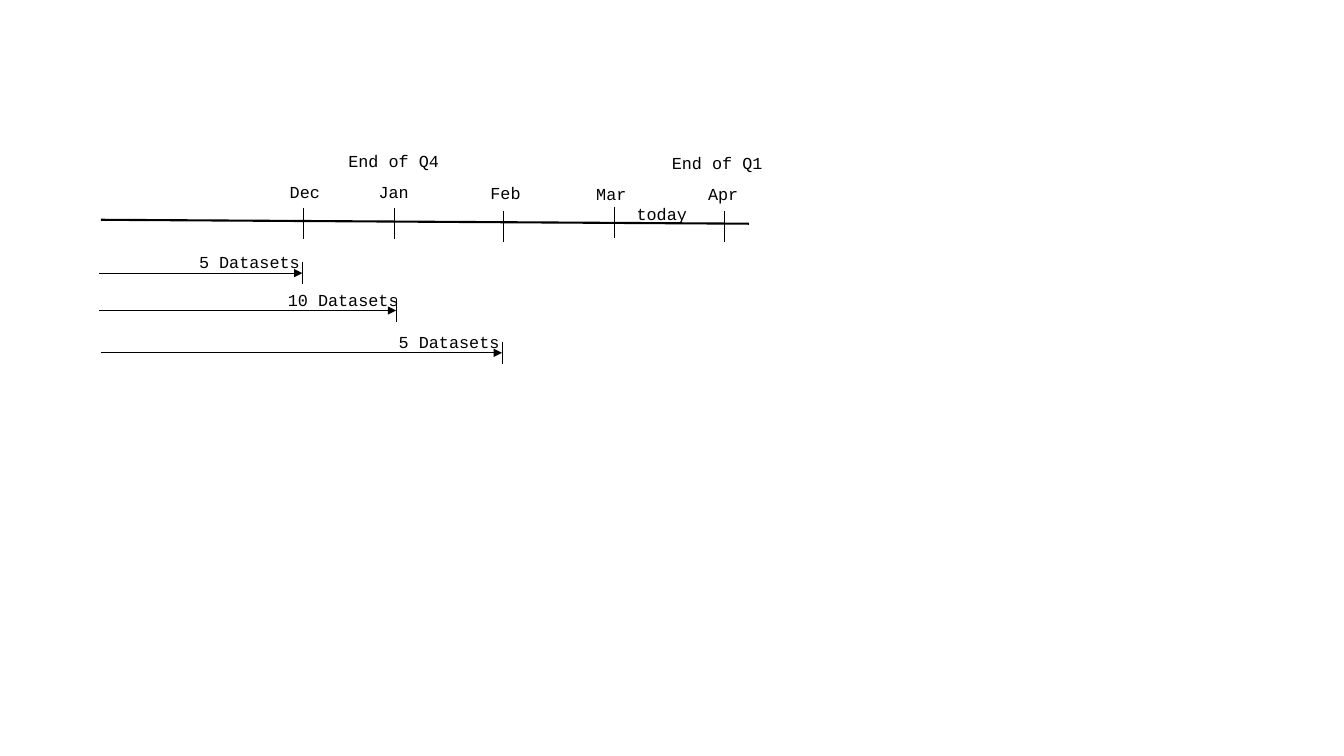
import dataclasses
import pptx
import pptx.dml.color
import pptx.enum.shapes
import pptx.enum.text
import pptx.oxml
import pptx.oxml.ns
import pptx.util
from pptx.util import Pt


@dataclasses.dataclass(frozen=True)
class Theme:
    ink: str = "000000"
    paper: str = "FFFFFF"
    font: str = "Courier New"
    text_size: float = 12
    axis_width: float = 1.5
    thin_width: float = 0.5
    label_width: float = 116
    label_height: float = 21.8


class TimelinePage:
    def __init__(self, page, theme):
        self.page = page
        self.theme = theme
        fill = page.background.fill
        fill.solid()
        fill.fore_color.rgb = self.color(theme.paper)

    def color(self, value):
        return pptx.dml.color.RGBColor.from_string(value)

    def label(self, text, center, top):
        theme = self.theme
        box = self.page.shapes.add_textbox(
            Pt(center - theme.label_width / 2), Pt(top),
            Pt(theme.label_width), Pt(theme.label_height))
        frame = box.text_frame
        frame.word_wrap = True
        frame.auto_size = pptx.enum.text.MSO_AUTO_SIZE.SHAPE_TO_FIT_TEXT
        para = frame.paragraphs[0]
        para.alignment = pptx.enum.text.PP_ALIGN.CENTER
        span = para.add_run()
        span.text = text
        span.font.name = theme.font
        span.font.size = Pt(theme.text_size)
        span.font.color.rgb = self.color(theme.ink)

    def line(self, start, end, width=None, arrow=False):
        connector = self.page.shapes.add_connector(
            pptx.enum.shapes.MSO_CONNECTOR.STRAIGHT,
            Pt(start[0]), Pt(start[1]), Pt(end[0]), Pt(end[1]))
        connector.line.width = Pt(width or self.theme.thin_width)
        connector.line.color.rgb = self.color(self.theme.ink)
        properties = connector._element.spPr
        if arrow:
            outline = connector.line._get_or_add_ln()
            tail = pptx.oxml.ns.qn("a:tailEnd")
            outline.append(outline.makeelement(tail, {"type": "triangle"}))
        effects = pptx.oxml.ns.qn("a:effectLst")
        properties.append(properties.makeelement(effects, {}))

    def tick(self, x, top, height):
        self.line((x, top), (x, top + height))

    def delivery(self, text, start, end, y):
        self.line((start, y), (end, y), arrow=True)
        self.tick(end, y - 8, 16)
        self.label(text, end - 37.8, y - 18.5)


MONTHS = [
    ("Dec", 217.8, 126, 216.7, 148.3),
    ("Jan", 281.2, 126, 281.5, 148.3),
    ("Feb", 361.1, 126.7, 359.3, 150.5),
    ("Mar", 436.7, 127.4, 438.5, 147.6),
    ("Apr", 516.6, 127.4, 517.7, 150.5),
]
NOTES = [
    ("End of Q4", 281.2, 104.4),
    ("End of Q1", 512.3, 105.8),
    ("today", 472.7, 141.8),
]
DELIVERIES = [
    ("5 Datasets", 70.6, 216, 195.1),
    ("10 Datasets", 70.6, 283, 221.8),
    ("5 Datasets", 72, 358.6, 252),
]

deck = pptx.Presentation()
deck.slide_width = Pt(960)
deck.slide_height = Pt(540)
theme = Theme()
timeline = TimelinePage(deck.slides.add_slide(deck.slide_layouts[6]), theme)

timeline.line((72, 157), (535, 159.8), theme.axis_width)
for month, center, top, tick_x, tick_top in MONTHS:
    timeline.label(month, center, top)
    timeline.tick(tick_x, tick_top, 22.3)
for note in NOTES:
    timeline.label(*note)
for delivery in DELIVERIES:
    timeline.delivery(*delivery)

deck.save("out.pptx")
